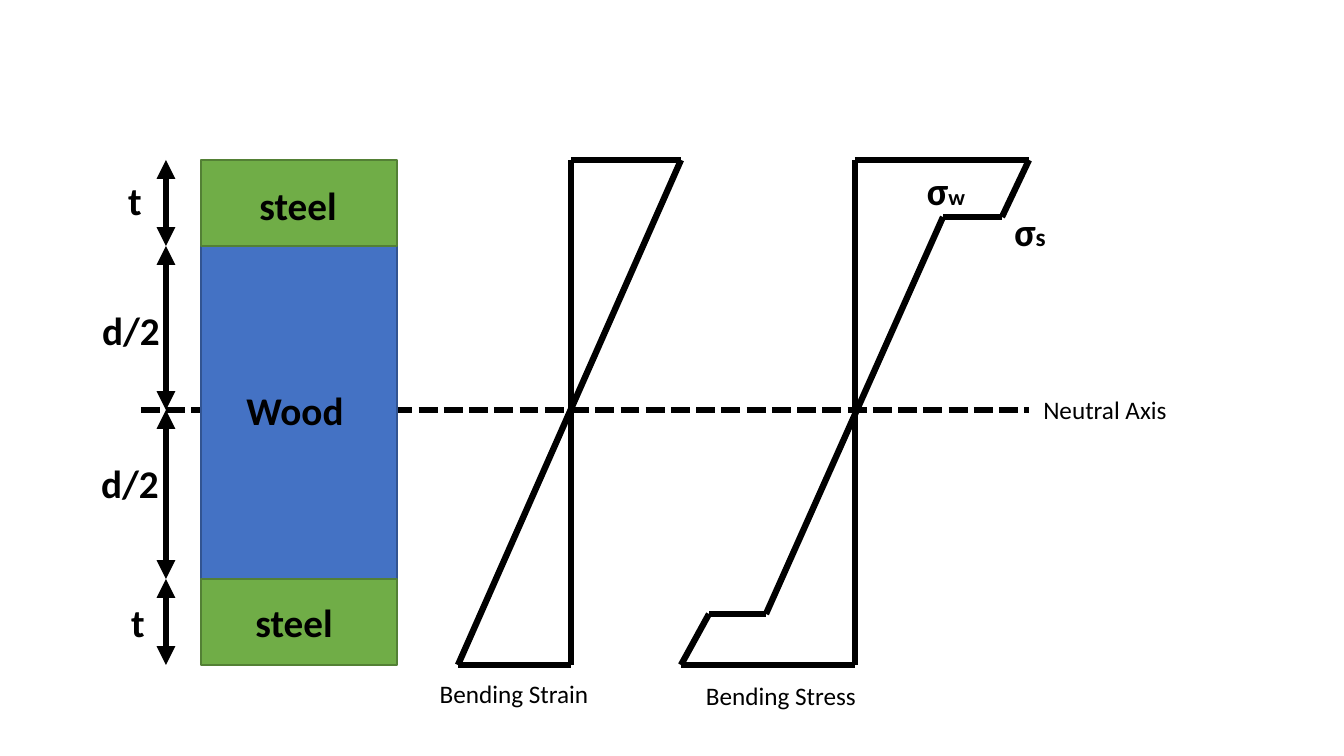
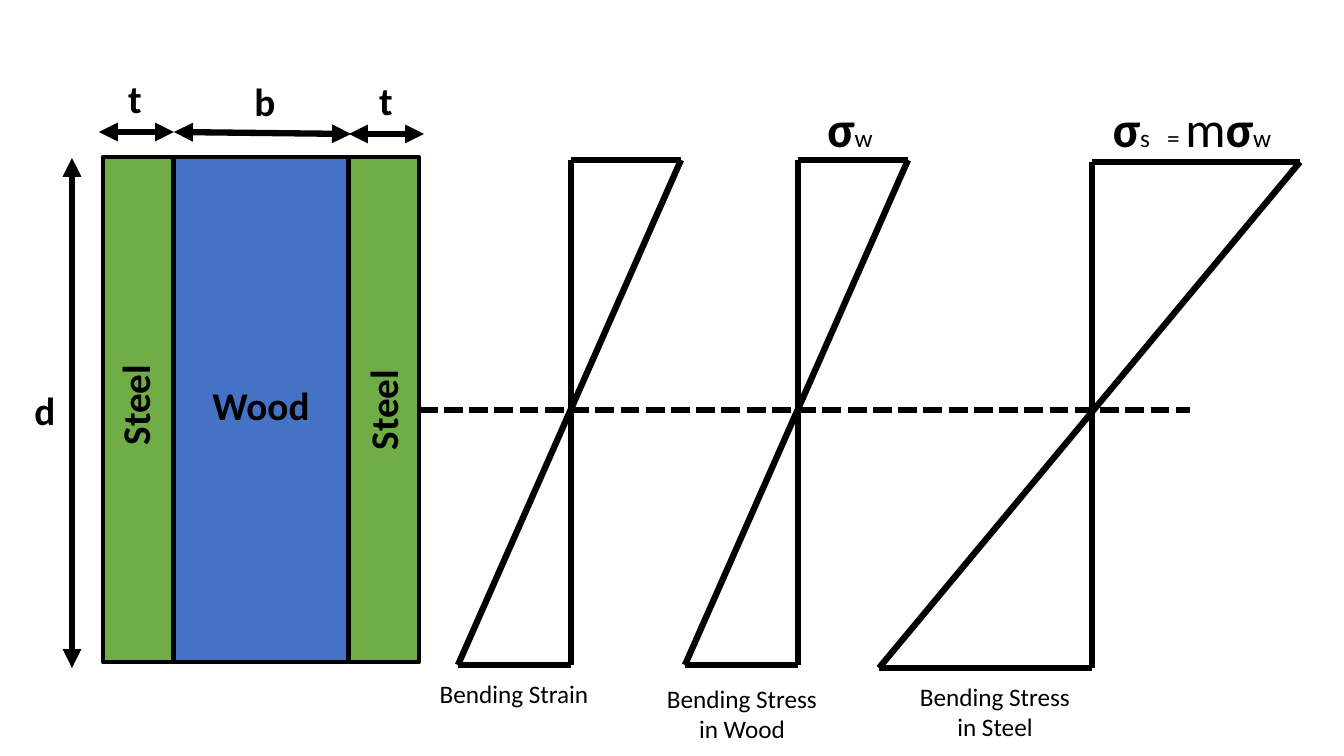
import collections
import itertools

import pptx
import pptx.dml.color
import pptx.enum.dml
import pptx.enum.shapes
import pptx.enum.text
import pptx.oxml
import pptx.oxml.ns
import pptx.util

PX = 914400 / 100.8  # EMU in one pixel

Box = collections.namedtuple("Box", "x y w h")
Run = collections.namedtuple("Run", "text size bold spacing", defaults=(False, 0))


class Theme:
    font = "Calibri"
    ink, steel, wood = "000000", "70AD47", "4472C4"
    steel_edge, wood_edge = "538035", "325491"
    small_sub, caption, name, symbol = 16, 18, 28, 36
    thin, outline, stroke = 1, 3, 4.5


def emu(px):
    return pptx.util.Emu(round(px * PX))


def rgb(value):
    return pptx.dml.color.RGBColor.from_string(value)


# Basic shapes and text
def line(s, start, end, dashed=False, arrows=False):
    c = s.shapes.add_connector(pptx.enum.shapes.MSO_CONNECTOR.STRAIGHT,
                               *map(emu, start + end))
    c.line.color.rgb = rgb(Theme.ink)
    c.line.width = pptx.util.Pt(Theme.stroke)
    if dashed:
        c.line.dash_style = pptx.enum.dml.MSO_LINE.SQUARE_DOT
    if arrows:
        ln = c.line._get_or_add_ln()
        for tag in ("a:headEnd", "a:tailEnd"):
            ln.append(pptx.oxml.parse_xml(
                f'<{tag} {pptx.oxml.ns.nsdecls("a")} type="triangle"/>'))
    c._element.spPr.append(pptx.oxml.parse_xml(
        f'<a:effectLst {pptx.oxml.ns.nsdecls("a")}/>'))


def outline(s, points):
    for start, end in itertools.pairwise(points + points[:1]):
        line(s, start, end)


def block(s, box, fill, edge, width):
    sp = s.shapes.add_shape(pptx.enum.shapes.MSO_SHAPE.RECTANGLE, *map(emu, box))
    sp.shadow.inherit = False
    sp.fill.solid()
    sp.fill.fore_color.rgb = rgb(fill)
    sp.line.color.rgb = rgb(edge)
    sp.line.width = pptx.util.Pt(width)


def label(s, cx, cy, w, runs, rotation=0):
    """Centre a text of one or more runs on (cx, cy)."""
    rows = 1 + runs[0].text.count("\v")
    h = round(10 + 1.7 * max(run.size for run in runs) * rows)
    sp = s.shapes.add_textbox(*map(emu, (cx - w / 2, cy - h / 2, w, h)))
    sp.rotation = rotation
    tf = sp.text_frame
    tf.word_wrap = True
    p = tf.paragraphs[0]
    p.alignment = pptx.enum.text.PP_ALIGN.CENTER
    if len(runs) == 1:
        p.text = runs[0].text
    else:
        for run in runs:
            p.add_run().text = run.text
    styles = [run for run in runs for _ in run.text.split("\v")]
    for r, run in zip(p.runs, styles):
        r.font.name = Theme.font
        r.font.size = pptx.util.Pt(run.size)
        r.font.bold = run.bold
        r.font.color.rgb = rgb(Theme.ink)
        if run.spacing:
            r._r.get_or_add_rPr().set("spc", str(run.spacing))


def name_label(s, cx, cy, w, text, rotation=0):
    label(s, cx, cy, w, [Run(text, Theme.name, True)], rotation)


def caption(s, cx, cy, text):
    label(s, cx, cy, 206, [Run(text, Theme.caption)])


# Diagrams
def linear_diagram(s, box, zero):
    """Two triangles meeting on the vertical at offset zero."""
    x, y, w, h = box
    outline(s, [(x + zero, y), (x + w, y), (x, y + h), (x + zero, y + h)])


def strain_diagram(s, box):
    linear_diagram(s, box, 113)
    caption(s, box.x + 56, box.y + 534, "Bending Strain")


def stepped_stress_diagram(s, box):
    x, y, w, h = box
    zero = x + w / 2
    outline(s, [(zero, y), (x + w, y), (x + 321, y + 57), (x + 262, y + 57),
                (x + 85, y + 454), (x + 28, y + 454), (x, y + h), (zero, y + h)])
    caption(s, x + 100, y + 536, "Bending Stress")
    sigma = Run("σ", Theme.name, True)
    label(s, x + 349, y + 71, 58, [sigma, Run("s", Theme.caption, True)])
    label(s, x + 265, y + 30, 73, [sigma, Run("w", Theme.small_sub, True)])


# Beam sections
def layered_section(s, box):
    """Wood between a top and a bottom steel plate."""
    x, y, w, h = box
    plate = 86
    block(s, Box(x, y + plate, w, h - 2 * plate), Theme.wood, Theme.wood_edge, Theme.thin)
    for top in (y, y + h - plate):
        block(s, Box(x, top, w, plate), Theme.steel, Theme.steel_edge, Theme.thin)
    for cx, cy, text in ((97, 45, "steel"), (93, 462, "steel"), (94, 250, "Wood")):
        name_label(s, x + cx, y + cy, w, text)
    # Depth dimensions
    levels = [y, y + plate, y + 250, y + h - plate, y + h]
    for top, bottom in itertools.pairwise(levels):
        line(s, (x - 35, bottom), (x - 35, top), arrows=True)
    for cx, cy, width, text in ((-66, 40, 58, "t"), (-63, 462, 58, "t"),
                                (-70, 170, 80, "d/2"), (-71, 323, 80, "d/2")):
        name_label(s, x + cx, y + cy, width, text)


def flitch_section(s, box):
    """Wood between a left and a right steel plate."""
    x, y, w, h = box
    plate = 70
    for left, width, fill in ((x + w - plate, plate, Theme.steel),
                              (x + plate + 1, w - 2 * plate - 2, Theme.wood),
                              (x, plate, Theme.steel)):
        block(s, Box(left, y, width, h), fill, Theme.ink, Theme.outline)
    name_label(s, x + 32, y + 248, 150, "Steel", 270)
    name_label(s, x + 158, y + 248, 203, "Wood")
    name_label(s, x + 280, y + 253, 150, "Steel", 270)
    # Width and depth dimensions
    for start, end in (((-4, -25), (71, -25)), ((71, -25), (248, -23)),
                       ((246, -23), (321, -23)), ((-31, 1), (-31, h + 6))):
        line(s, (x + start[0], y + start[1]), (x + end[0], y + end[1]), arrows=True)
    for cx, cy, text in ((32, -59, "t"), (162, -56, "b"),
                         (283, -57, "t"), (-58, 253, "d")):
        name_label(s, x + cx, y + cy, 58, text)


# Slides
def add_slide(prs, axis_end):
    s = prs.slides.add_slide(prs.slide_layouts[6])
    line(s, (141, 410), (axis_end, 410), dashed=True)
    return s


def layered_slide(prs):
    s = add_slide(prs, 1029)
    layered_section(s, Box(201, 160, 196, 505))
    strain_diagram(s, Box(458, 160, 223, 505))
    stepped_stress_diagram(s, Box(681, 160, 348, 505))
    caption(s, 1105, 410, "Neutral Axis")


def flitch_slide(prs):
    s = add_slide(prs, 1190)
    flitch_section(s, Box(103, 157, 316, 505))
    strain_diagram(s, Box(458, 160, 223, 505))
    linear_diagram(s, Box(685, 160, 223, 505), 113)
    linear_diagram(s, Box(879, 162, 421, 506), 213)
    caption(s, 742, 714, "Bending Stress\vin Wood")
    caption(s, 995, 712, "Bending Stress\vin Steel")
    sigma, sub_w = Run("σ", Theme.symbol, True), Run("w", Theme.caption)
    label(s, 850, 128, 80, [sigma, sub_w])
    label(s, 1192, 128, 206, [sigma, Run("s ", Theme.caption, False, 410),
                              Run("= ", Theme.caption), Run("m", Theme.symbol),
                              sigma, sub_w])


prs = pptx.Presentation()
prs.slide_width, prs.slide_height = emu(1344), emu(756)
layered_slide(prs)
flitch_slide(prs)
prs.save("out.pptx")
